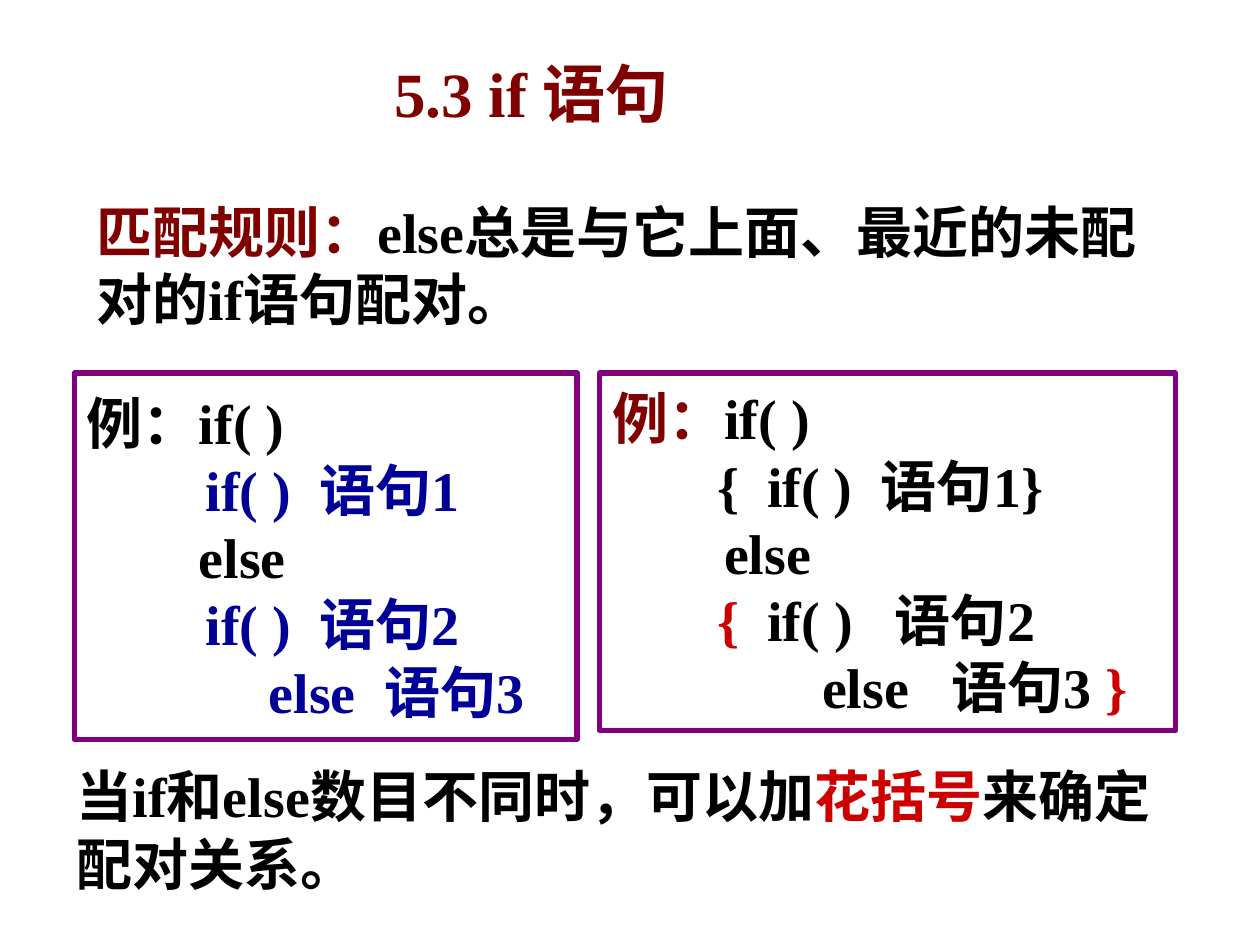
from pptx import Presentation
from pptx.dml.color import RGBColor
from pptx.enum.shapes import MSO_SHAPE
from pptx.enum.text import MSO_ANCHOR, PP_ALIGN
from pptx.util import Inches, Pt

FONT = "Times New Roman"
BLACK, MAROON, NAVY, RED, PURPLE = "000000", "800000", "000099", "CC0000", "800080"


def color(code):
    """Turn a hex string into a colour."""
    return RGBColor.from_string(code)


def add_run(para, text, size=32, fill=BLACK, bold=True):
    """Add one formatted run to a paragraph."""
    run = para.add_run()
    run.text = text
    run.font.name = FONT
    run.font.size = Pt(size)
    run.font.bold = bold
    run.font.color.rgb = color(fill)


def write(shape, lines, **style):
    """Fill a shape with lines, each a list of (text, colour) pairs."""
    frame = shape.text_frame
    frame.word_wrap = True
    frame.vertical_anchor = MSO_ANCHOR.MIDDLE
    for i, line in enumerate(lines):
        para = frame.add_paragraph() if i else frame.paragraphs[0]
        para.alignment = PP_ALIGN.LEFT
        for text, fill in line:
            add_run(para, text, fill=fill, **style)


def add_text(slide, box, line, **style):
    """Add a text box holding one paragraph."""
    shape = slide.shapes.add_textbox(*map(Inches, box))
    write(shape, [line], **style)


def add_code(slide, box, lines):
    """Add a purple frame holding a code example."""
    shape = slide.shapes.add_shape(MSO_SHAPE.RECTANGLE, *map(Inches, box))
    shape.shadow.inherit = False
    shape.fill.background()
    shape.line.color.rgb = color(PURPLE)
    shape.line.width = Pt(3)
    write(shape, lines)


def main():
    """Build the slide on matching else with if."""
    deck = Presentation()
    deck.slide_width, deck.slide_height = Inches(10), Inches(7.5)
    slide = deck.slides.add_slide(deck.slide_layouts[6])

    add_text(slide, (3.03, 0.28, 3.46, 0.91), [("5.3 if 语句", MAROON)], size=36)
    add_text(slide, (0.67, 1.47, 8.58, 1.26), [
        ("匹配规则：", MAROON),
        ("else总是与它上面、最近的未配对的if语句配对。", BLACK),
    ])
    add_code(slide, (0.59, 2.96, 3.99, 2.91), [
        [("例：if( )", BLACK)],
        [("\t    if( )  语句1", NAVY)],
        [("        else", BLACK)],
        [("\t    if( )  语句2", NAVY)],
        [("             else  语句3", NAVY)],
    ])
    add_code(slide, (4.76, 2.96, 4.57, 2.84), [
        [("例：", MAROON), ("if( )", BLACK)],
        [("\t   {  if( )  语句1}", BLACK)],
        [("        else", BLACK)],
        [("\t   { ", RED), (" if( )   语句2", BLACK)],
        [("               else   语句3 ", BLACK), ("}", RED)],
    ])
    add_text(slide, (0.51, 6.03, 9.06, 1.1), [
        ("当if和else数目不同时，可以加", BLACK),
        ("花括号", RED),
        ("来确定配对关系。", BLACK),
    ])
    deck.save("out.pptx")


if __name__ == "__main__":
    main()
